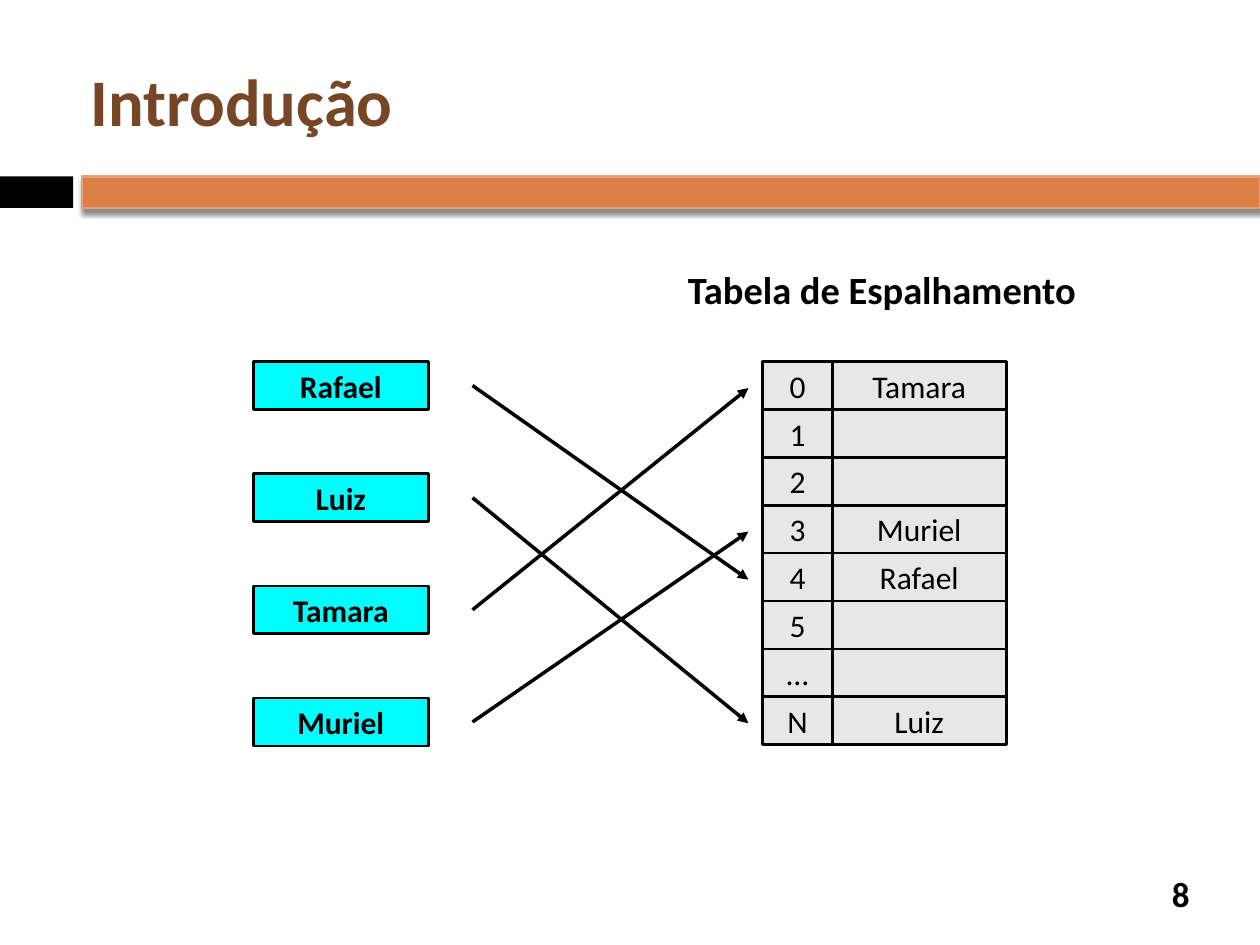
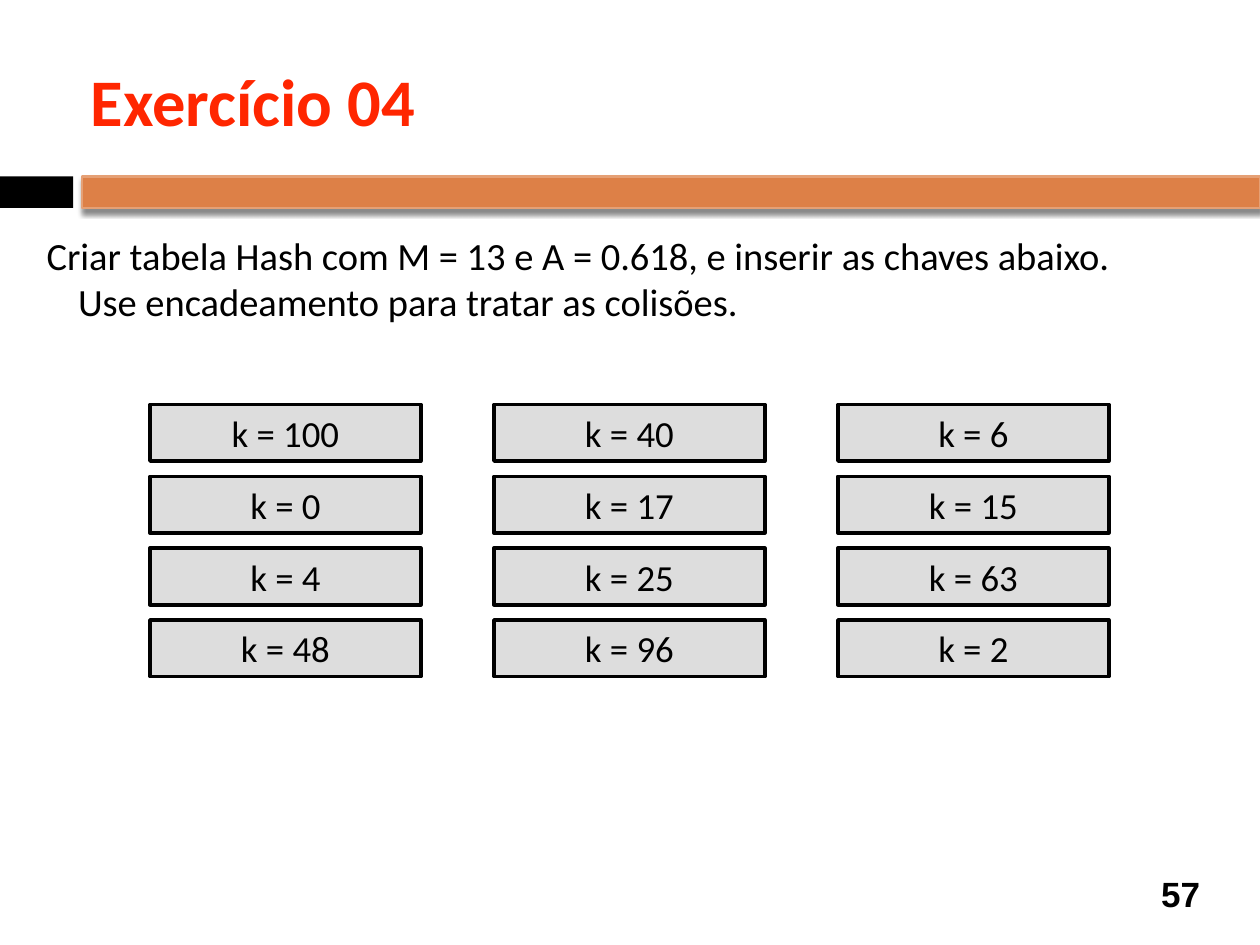
from lxml import etree
from pptx import Presentation
from pptx.dml.color import RGBColor
from pptx.enum.shapes import MSO_CONNECTOR, MSO_SHAPE
from pptx.enum.text import MSO_ANCHOR, PP_ALIGN
from pptx.oxml import parse_xml
from pptx.oxml.ns import nsdecls, qn
from pptx.util import Inches, Pt

COLORS = {
    "black": "000000",
    "band": "DD8047",
    "band_edge": "E5A075",
    "brown": "754726",
    "red": "FF2600",
    "cell": "E7E7E7",
    "name": "00FDFF",
    "key": "DDDDDD",
}


def add_rect(slide, left, top, width, height, fill, edge=None, edge_width=1.5):
    rect = slide.shapes.add_shape(
        MSO_SHAPE.RECTANGLE, Inches(left), Inches(top), Inches(width), Inches(height)
    )
    rect.shadow.inherit = False
    rect.fill.solid()
    rect.fill.fore_color.rgb = RGBColor.from_string(COLORS[fill])
    if edge:
        rect.line.color.rgb = RGBColor.from_string(COLORS[edge])
        rect.line.width = Pt(edge_width)
    else:
        rect.line.fill.background()
    return rect


def write(shape, text, size, color="black", bold=False, font="Calibri",
          align=PP_ALIGN.CENTER, anchor=MSO_ANCHOR.MIDDLE, wrap=True):
    """Fill a shape with one paragraph of formatted text and return the paragraph."""
    frame = shape.text_frame
    frame.text = text
    frame.word_wrap = wrap
    frame.vertical_anchor = anchor
    frame.margin_left = frame.margin_right = Inches(0.05)
    frame.margin_top = frame.margin_bottom = Inches(0.05)
    paragraph = frame.paragraphs[0]
    paragraph.alignment = align
    for run in paragraph.runs:
        run.font.name = font
        run.font.size = Pt(size)
        run.font.bold = bold
        run.font.color.rgb = RGBColor.from_string(COLORS[color])
    return paragraph


prs = Presentation()
prs.slide_width = Inches(10)
prs.slide_height = Inches(7.5)

# Bands, title and page number shared by the slides
slides = []
for title, title_color, page, page_font in [
    ("Introdução", "brown", "8", "Calibri"),
    ("Exercício 04", "red", "57", "Arial"),
]:
    slide = prs.slides.add_slide(prs.slide_layouts[6])
    add_rect(slide, 0, 1.4, 0.58, 0.25, "black")
    band = add_rect(slide, 0.65, 1.4, 9.35, 0.25, "band", "band_edge")
    band.element.spPr.find(qn("a:effectLst")).append(parse_xml(
        f'<a:outerShdw {nsdecls("a")} blurRad="{Pt(3)}" dist="{Pt(2.4)}" dir="5400000">'
        '<a:srgbClr val="000000"><a:alpha val="45000"/></a:srgbClr></a:outerShdw>'
    ))
    heading = slide.shapes.add_textbox(Inches(0.67), Inches(0.25), Inches(8.92), Inches(1.08))
    write(heading, title, 38, title_color, bold=True, align=PP_ALIGN.LEFT)
    page_number = slide.shapes.add_textbox(Inches(9.08), Inches(6.89), Inches(0.58), Inches(0.41))
    write(page_number, page, 20, bold=True, font=page_font)
    slides.append(slide)
intro, exercise = slides

# Introduction: names scattered into the hash table
names = ["Rafael", "Luiz", "Tamara", "Muriel"]
slot_labels = ["0", "1", "2", "3", "4", "5", "…", "N"]
slot_of_name = {"Tamara": 0, "Muriel": 3, "Rafael": 4, "Luiz": 7}
name_in_slot = {slot: name for name, slot in slot_of_name.items()}
first_top, row_height, name_step = 2.87, 0.38, 0.89

for slot, label in enumerate(slot_labels):
    top = first_top + slot * row_height
    value_cell = add_rect(intro, 6.6, top, 1.39, row_height, "cell", "black")
    if slot in name_in_slot:
        write(value_cell, name_in_slot[slot], 18)
    index_cell = add_rect(intro, 6.05, top, 0.56, row_height, "cell", "black")
    write(index_cell, label, 18)

for position, name in enumerate(names):
    top = first_top + position * name_step
    name_box = add_rect(intro, 2.01, top, 1.39, row_height, "name", "black")
    write(name_box, name, 18, bold=True)

    slot_top = first_top + slot_of_name[name] * row_height
    arrow = intro.shapes.add_connector(
        MSO_CONNECTOR.STRAIGHT,
        Inches(3.75), Inches(top + 0.19), Inches(5.94), Inches(slot_top + 0.21),
    )
    arrow.line.color.rgb = RGBColor.from_string(COLORS["black"])
    arrow.line.width = Pt(2)
    etree.SubElement(arrow.line._get_or_add_ln(), qn("a:tailEnd"), type="triangle")
    etree.SubElement(arrow.element.spPr, qn("a:effectLst"))

table_caption = intro.shapes.add_textbox(Inches(5.41), Inches(2.06), Inches(3.23), Inches(0.43))
write(table_caption, "Tabela de Espalhamento", 22, bold=True,
      align=PP_ALIGN.LEFT, anchor=MSO_ANCHOR.TOP, wrap=False)

# Exercise: statement and grid of keys
statement = exercise.shapes.add_textbox(Inches(0.32), Inches(1.79), Inches(9), Inches(0.94))
statement_text = write(
    statement,
    "Criar tabela Hash com M = 13 e A = 0.618, e inserir as chaves abaixo. "
    "Use encadeamento para tratar as colisões.",
    22, align=PP_ALIGN.LEFT, anchor=MSO_ANCHOR.TOP,
)
indent = statement_text._p.get_or_add_pPr()
indent.set("marL", str(Inches(0.25)))
indent.set("indent", str(Inches(-0.25)))

key_columns = [[100, 0, 4, 48], [40, 17, 25, 96], [6, 15, 63, 2]]
for column, keys in enumerate(key_columns):
    for row, key in enumerate(keys):
        key_box = add_rect(exercise, 1.19 + column * 2.73, 3.21 + row * 0.57,
                           2.15, 0.45, "key", "black", 2)
        write(key_box, f"k = {key}", 21, anchor=MSO_ANCHOR.TOP)

prs.save("out.pptx")
